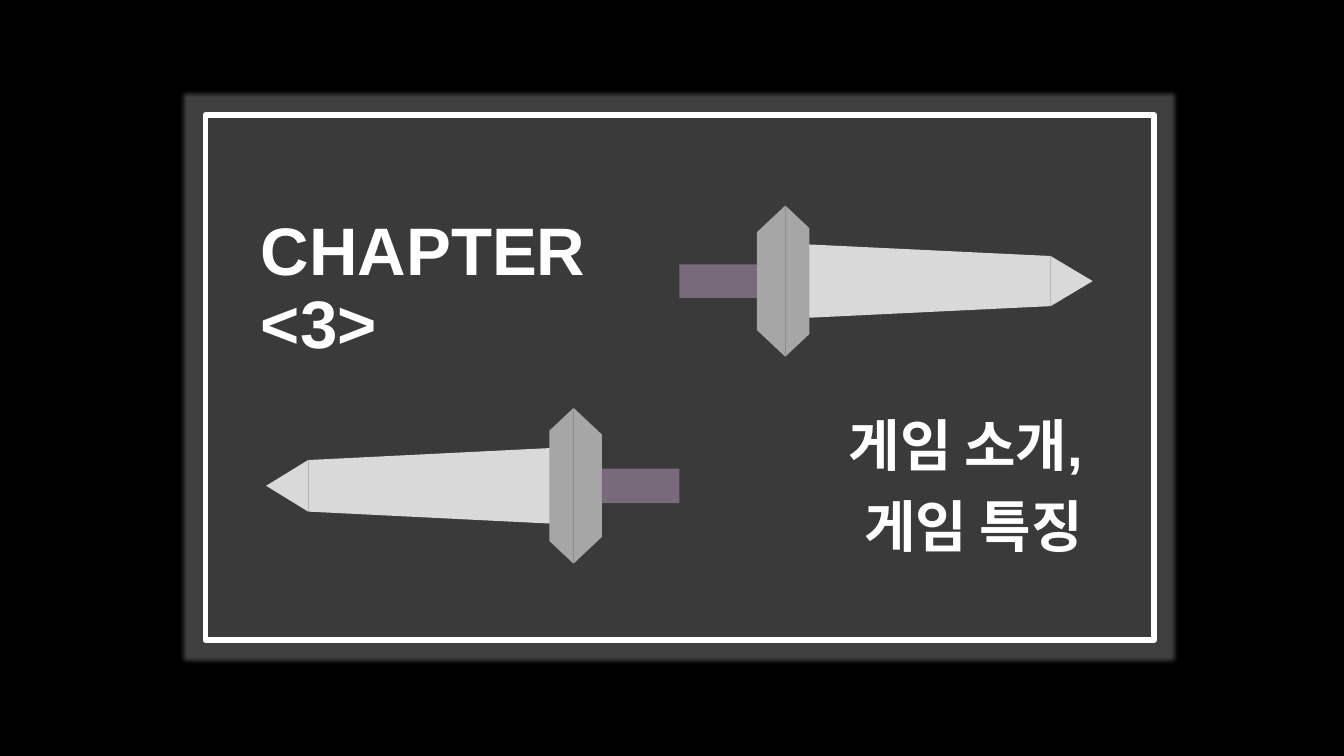
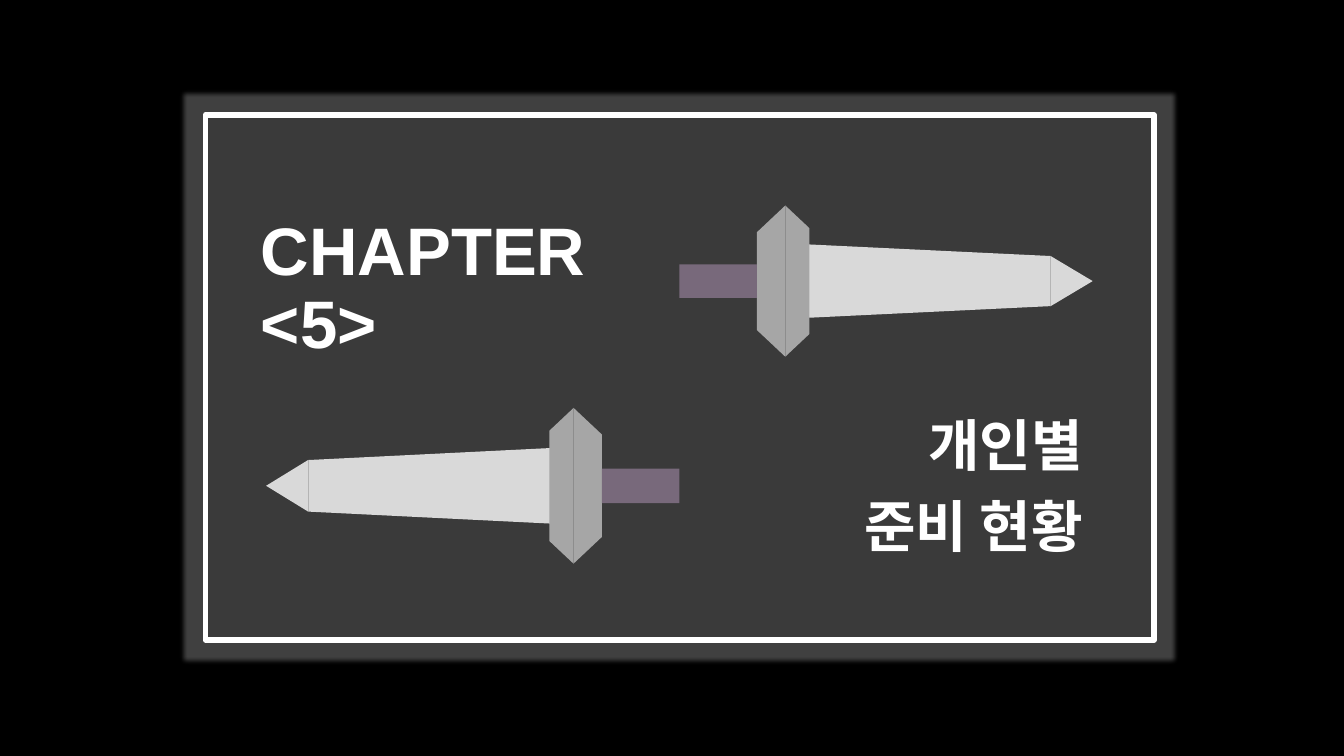
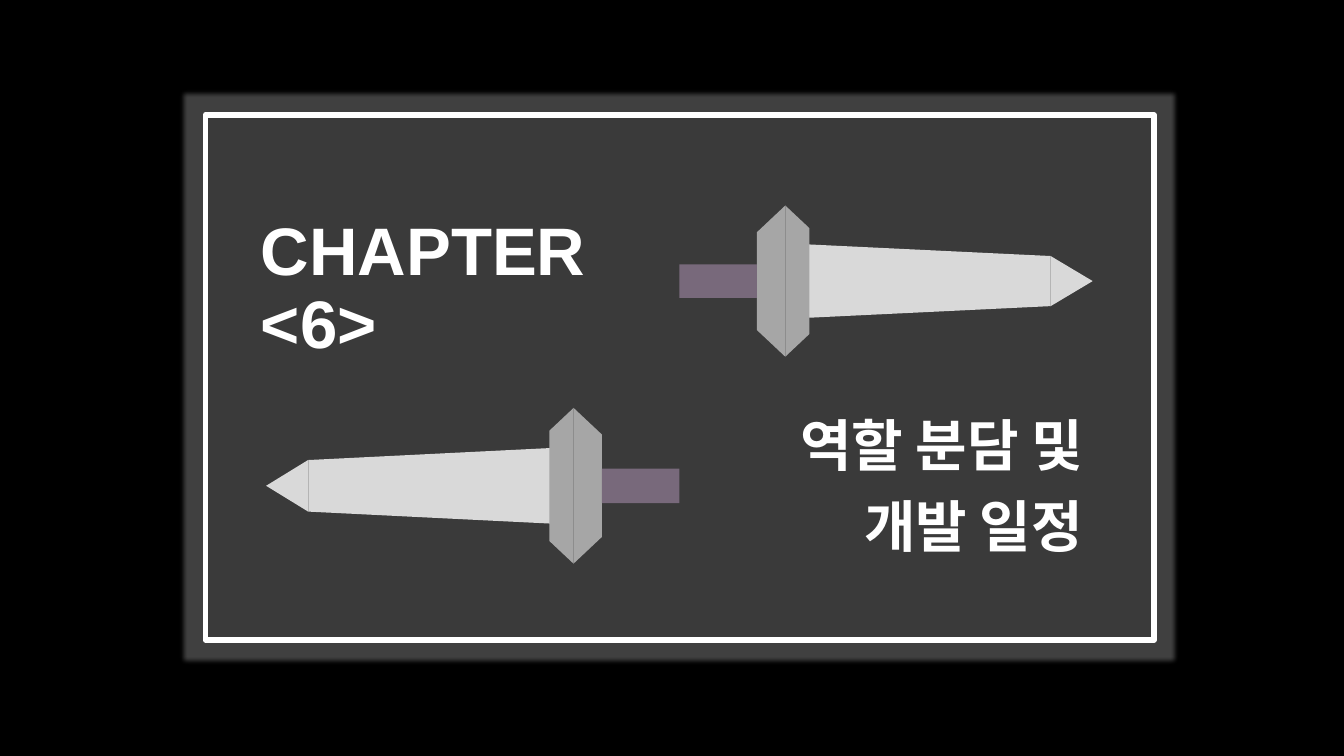
import pptx
import pptx.dml.color
import pptx.enum.shapes
import pptx.enum.text
import pptx.oxml
import pptx.oxml.ns
import pptx.util

Pt = pptx.util.Pt
SHAPE = pptx.enum.shapes.MSO_SHAPE
ALIGN = pptx.enum.text.PP_ALIGN

CHAPTERS = [
    ("<3>", ["게임 소개,", "게임 특징"]),
    ("<5>", ["개인별", "준비 현황"]),
    ("<6>", ["역할 분담 및", "개발 일정"]),
]


class Theme:
    font = "Arial"
    black, white = "000000", "FFFFFF"
    halo, panel = "404040", "262626"
    grip, guard, blade = "78697B", "A6A6A6", "D9D9D9"
    chapter_size, topic_size = 48, 40
    line_spacing = 0.9


SLIDE_SIZE = (960, 540)
FRAME = (146.8, 82.1, 677.5, 375.1)
FRAME_LINE = 4
PANEL_OPACITY = 20
HALO_MARGIN = 19
HALO_BLUR = 4

CHAPTER_BOX = (179.3, 137.5, 272.2, 125.3)
TOPIC_BOX = (486, 290.2, 294.5, 55.4)
TOPIC_STEP = 57.6

# Preset, distance from the pommel, length, span, turn, adjustment, colour
SWORD_PARTS = [
    (SHAPE.TRAPEZOID, 55.4, 20.2, 108, 180, 0.94, Theme.guard),
    (SHAPE.RECTANGLE, 0, 55.4, 24, 0, None, Theme.grip),
    (SHAPE.TRAPEZOID, 90, 175, 52.6, 0, 0.16, Theme.blade),
    (SHAPE.TRAPEZOID, 75.6, 17.3, 108, 0, 0.94, Theme.guard),
    (SHAPE.ISOSCELES_TRIANGLE, 265, 30.2, 36, 0, None, Theme.blade),
]
POMMEL_X = 485.3
# Centre height, direction of the point (1 is right), scale across the blade
SWORDS = [(200.8, 1, 1), (347, -1, 1.03)]


def rgb(value):
    return pptx.dml.color.RGBColor.from_string(value)


def add_filled(shapes, preset, place, color):
    shape = shapes.add_shape(preset, *map(Pt, place))
    shape.shadow.inherit = False
    shape.fill.solid()
    shape.fill.fore_color.rgb = rgb(color)
    shape.line.fill.background()
    return shape


def add_child(parent, tag, **attributes):
    child = parent.makeelement(pptx.oxml.ns.qn(tag), attributes)
    parent.append(child)
    return child


def add_frame(slide):
    """Draw the soft grey halo and the white-edged panel over it."""
    left, top, width, height = FRAME
    margin = HALO_MARGIN
    place = (left - margin, top - margin, width + 2 * margin, height + 2 * margin)
    halo = add_filled(slide.shapes, SHAPE.RECTANGLE, place, Theme.halo)
    effects = halo.element.spPr.find(pptx.oxml.ns.qn("a:effectLst"))
    add_child(effects, "a:softEdge", rad=str(Pt(HALO_BLUR)))

    panel = add_filled(slide.shapes, SHAPE.RECTANGLE, FRAME, Theme.panel)
    color = panel.element.spPr.find(
        pptx.oxml.ns.qn("a:solidFill") + "/" + pptx.oxml.ns.qn("a:srgbClr"))
    add_child(color, "a:alpha", val=str(PANEL_OPACITY * 1000))
    panel.line.color.rgb = rgb(Theme.white)
    panel.line.width = Pt(FRAME_LINE)


def add_sword(slide, center_y, direction, scale):
    """Lay the parts along a level axis; each is drawn upright, then turned."""
    group = slide.shapes.add_group_shape()
    for preset, start, length, span, turn, adjustment, color in SWORD_PARTS:
        center_x = POMMEL_X + direction * (start + length / 2)
        width = span * scale
        place = (center_x - width / 2, center_y - length / 2, width, length)
        part = add_filled(group.shapes, preset, place, color)
        part.rotation = (90 * direction + turn) % 360
        if adjustment is not None:
            part.adjustments[0] = adjustment


def add_text(slide, place, lines, size, align):
    box = slide.shapes.add_textbox(*map(Pt, place))
    frame = box.text_frame
    frame.word_wrap = True
    frame.vertical_anchor = pptx.enum.text.MSO_ANCHOR.BOTTOM
    for index, line in enumerate(lines):
        para = frame.add_paragraph() if index else frame.paragraphs[0]
        para.alignment = align
        para.line_spacing = Theme.line_spacing
        span = para.add_run()
        span.text = line
        span.font.name = Theme.font
        span.font.size = Pt(size)
        span.font.bold = True
        span.font.color.rgb = rgb(Theme.white)


def add_chapter(deck, number, topics):
    slide = deck.slides.add_slide(deck.slide_layouts[6])
    add_frame(slide)
    for sword in SWORDS:
        add_sword(slide, *sword)
    add_text(slide, CHAPTER_BOX, ["CHAPTER", number], Theme.chapter_size, ALIGN.LEFT)
    left, top, width, height = TOPIC_BOX
    for row, topic in enumerate(topics):
        place = (left, top + row * TOPIC_STEP, width, height)
        add_text(slide, place, [topic], Theme.topic_size, ALIGN.RIGHT)


def main():
    deck = pptx.Presentation()
    deck.slide_width, deck.slide_height = map(Pt, SLIDE_SIZE)
    background = deck.slide_master.background.fill
    background.solid()
    background.fore_color.rgb = rgb(Theme.black)
    for number, topics in CHAPTERS:
        add_chapter(deck, number, topics)
    deck.save("out.pptx")


if __name__ == "__main__":
    main()
